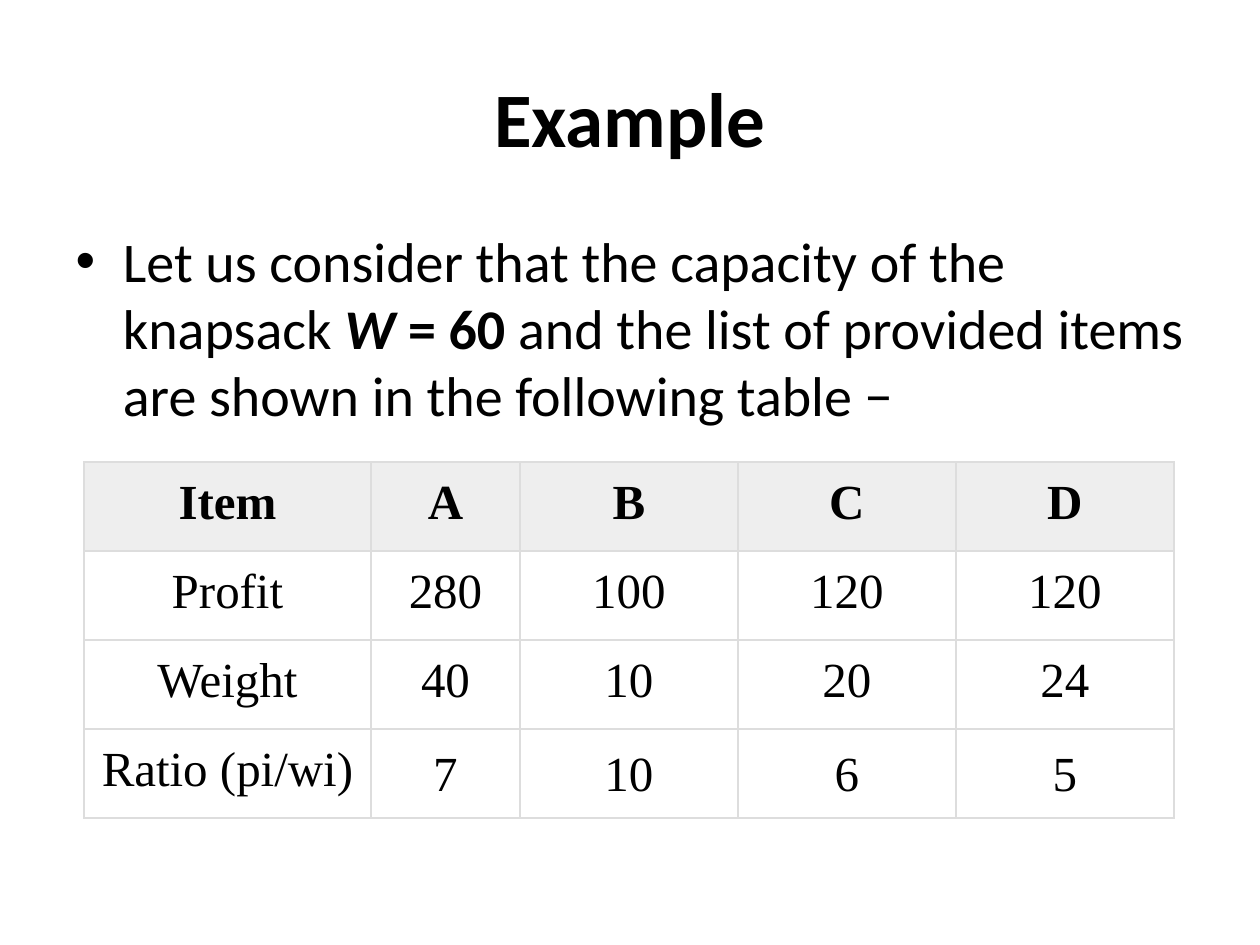
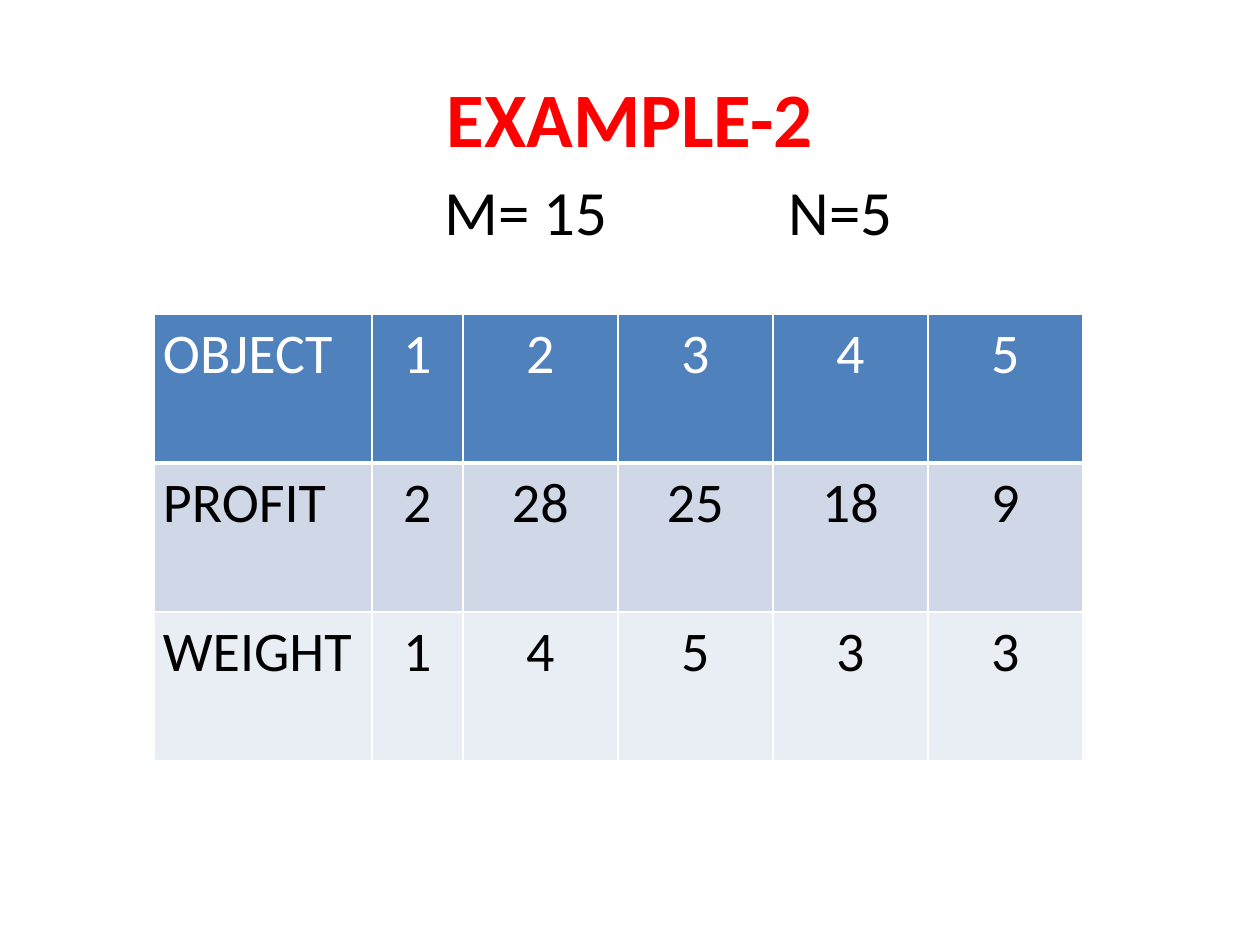
from dataclasses import dataclass

from lxml import etree
from pptx import Presentation
from pptx import util as u
from pptx.dml.color import RGBColor
from pptx.enum import text
from pptx.oxml import ns

SCALE = 914400 / 126
BLACK = RGBColor(0x00, 0x00, 0x00)
WHITE = RGBColor(0xFF, 0xFF, 0xFF)
RED = RGBColor(0xFF, 0x00, 0x00)
BLUE = RGBColor(0x4F, 0x81, 0xBD)
BLUE_BAND = RGBColor(0xD0, 0xD8, 0xE8)
PALE_BAND = RGBColor(0xE9, 0xED, 0xF4)
HEADER_GREY = RGBColor(0xEE, 0xEE, 0xEE)
RULE_GREY = RGBColor(0xDD, 0xDD, 0xDD)
SANS = "Calibri"
SERIF = "Times New Roman"
TITLE_BOX = (63, 38, 1134, 157)
BODY_BOX = (63, 220, 1134, 624)
LAYOUT_CONTENT, LAYOUT_TITLE_ONLY = 1, 5

ITEMS = [
    ["Item", "A", "B", "C", "D"],
    ["Profit", "280", "100", "120", "120"],
    ["Weight", "40", "10", "20", "24"],
    ["Ratio (pi/wi)", "7", "10", "6", "5"],
]
OBJECTS = [
    ["OBJECT", "1", "2", "3", "4", "5"],
    ["PROFIT", "2", "28", "25", "18", "9"],
    ["WEIGHT", "1", "4", "5", "3", "3"],
]


@dataclass
class TableStyle:
    """Look of a table: font, margins, rule colour and the fill of each row."""
    font: str
    size: int
    margins: tuple
    rule: RGBColor
    fills: list
    header_color: RGBColor = BLACK
    header_bold: bool = False
    header_rule: int = 1


ITEM_STYLE = TableStyle(SERIF, 28, (10, 10), RULE_GREY, [HEADER_GREY, None, None, None],
                        header_bold=True)
OBJECT_STYLE = TableStyle(SANS, 32, (9, 6), WHITE, [BLUE, BLUE_BAND, PALE_BAND],
                          header_color=WHITE, header_rule=3)


def px(length):
    """Turn px into EMU."""
    return u.Emu(round(length * SCALE))


def place(shape, box):
    """Move a shape to a box given in px."""
    shape.left, shape.top, shape.width, shape.height = map(px, box)


def set_font(font, name, size, color, bold=False):
    """Set the face, size, colour and weight of a font."""
    font.name, font.size, font.bold = name, u.Pt(size), bold
    font.color.rgb = color


def add_titled_slide(presentation, layout, title, color):
    """Add a slide with the shared title style."""
    slide = presentation.slides.add_slide(presentation.slide_layouts[layout])
    shape = slide.shapes.title
    place(shape, TITLE_BOX)
    shape.text_frame.vertical_anchor = text.MSO_ANCHOR.MIDDLE
    paragraph = shape.text_frame.paragraphs[0]
    paragraph.text = title
    paragraph.alignment = text.PP_ALIGN.CENTER
    set_font(paragraph.font, SANS, 44, color, bold=True)
    return slide


def add_border(cell, side, color, width):
    """Draw one side of a cell."""
    line = etree.SubElement(cell._tc.get_or_add_tcPr(), ns.qn(f"a:ln{side}"),
                            w=str(u.Pt(width)))
    fill = etree.SubElement(line, ns.qn("a:solidFill"))
    etree.SubElement(fill, ns.qn("a:srgbClr"), val=str(color))


def fill_cell(cell, words, style, row):
    """Write, rule and fill one table cell."""
    cell.margin_left = cell.margin_right = px(style.margins[0])
    cell.margin_top = cell.margin_bottom = px(style.margins[1])
    widths = {"L": 1, "R": 1,
              "T": style.header_rule if row == 1 else 1,
              "B": style.header_rule if row == 0 else 1}
    for side, width in widths.items():
        add_border(cell, side, style.rule, width)
    if style.fills[row] is None:
        cell.fill.background()
    else:
        cell.fill.solid()
        cell.fill.fore_color.rgb = style.fills[row]
    paragraph = cell.text_frame.paragraphs[0]
    paragraph.text = words
    paragraph.alignment = text.PP_ALIGN.CENTER
    is_header = row == 0
    set_font(paragraph.font, style.font, style.size,
             style.header_color if is_header else BLACK, is_header and style.header_bold)


def add_styled_table(slide, left, top, column_widths, row_height, rows, style):
    """Add a table whose corner is at left, top and return it."""
    frame = slide.shapes.add_table(len(rows), len(column_widths), px(left), px(top),
                                   px(sum(column_widths)), px(row_height * len(rows)))
    table = frame.table
    table.first_row = table.horz_banding = False
    for column, width in zip(table.columns, column_widths):
        column.width = px(width)
    for row, values in enumerate(rows):
        table.rows[row].height = px(row_height)
        for column, words in enumerate(values):
            fill_cell(table.cell(row, column), words, style, row)
    return table


def add_capacity_text(slide, box):
    """Fill the body placeholder with the knapsack statement."""
    body = slide.placeholders[1]
    place(body, box)
    paragraph = body.text_frame.paragraphs[0]
    paragraph.space_before = u.Pt(0)
    set_font(paragraph.font, SANS, 32, BLACK)
    for words, bold, italic in [
        ("Let us consider that the capacity of the knapsack ", False, False),
        ("W", True, True),
        (" = 60", True, False),
        (" and the list of provided items are shown in the following table −", False, False),
    ]:
        run = paragraph.add_run()
        run.text = words
        run.font.bold, run.font.italic = bold, italic


def add_parameters(slide, box, tab):
    """Add the M and N values, the second at a tab stop."""
    shape = slide.shapes.add_textbox(*map(px, box))
    shape.text_frame.word_wrap = True
    paragraph = shape.text_frame.paragraphs[0]
    paragraph.text = "M= 15\tN=5"
    tabs = etree.SubElement(paragraph._p.get_or_add_pPr(), ns.qn("a:tabLst"))
    etree.SubElement(tabs, ns.qn("a:tab"), pos=str(px(tab)), algn="l")
    set_font(paragraph.font, SANS, 36, BLACK)


def build_items_slide(presentation):
    """Build the slide with the capacity statement and the item table."""
    slide = add_titled_slide(presentation, LAYOUT_CONTENT, "Example", BLACK)
    add_capacity_text(slide, BODY_BOX)
    table = add_styled_table(slide, 84, 462, [287, 149] + [218] * 3, 89, ITEMS, ITEM_STYLE)
    for cell in table.iter_cells():
        paragraph = cell.text_frame.paragraphs[0]
        paragraph.line_spacing = 1.07
        paragraph.space_after = u.Pt(15)
    ratio_label, *ratios = table.rows[len(ITEMS) - 1].cells
    ratio_label.text_frame.paragraphs[0].space_after = u.Pt(0)
    for cell in ratios:
        cell.vertical_anchor = text.MSO_ANCHOR.MIDDLE
        cell.text_frame.paragraphs[0].space_after = u.Pt(8)


def build_objects_slide(presentation):
    """Build the slide with the object table and its parameters."""
    slide = add_titled_slide(presentation, LAYOUT_TITLE_ONLY, "EXAMPLE-2", RED)
    table = add_styled_table(slide, 154, 314, [218, 91] + [155] * 4, 149, OBJECTS,
                             OBJECT_STYLE)
    for row in table.rows:
        row.cells[0].text_frame.paragraphs[0].alignment = text.PP_ALIGN.LEFT
    add_parameters(slide, (432, 166, 503, 89), 344)


def main():
    """Build and save the presentation."""
    presentation = Presentation()
    presentation.slide_width, presentation.slide_height = px(1260), px(945)
    build_items_slide(presentation)
    build_objects_slide(presentation)
    presentation.save("out.pptx")


if __name__ == "__main__":
    main()
